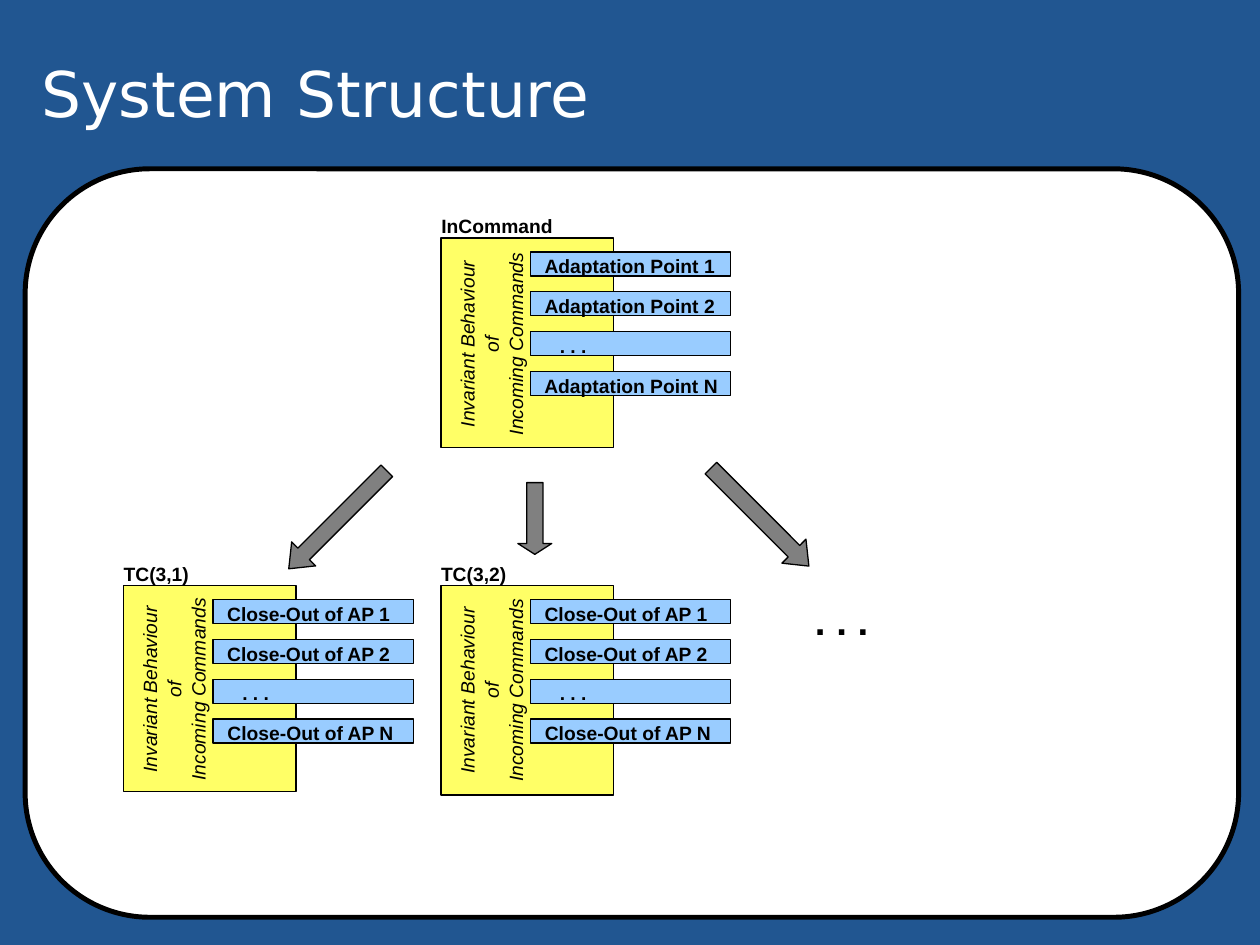
from dataclasses import dataclass

from pptx import Presentation
from pptx.dml.color import RGBColor
from pptx.enum.shapes import MSO_SHAPE
from pptx.enum.text import MSO_ANCHOR, PP_ALIGN
from pptx.util import Pt

COLOURS = {
    "background": "215691",
    "panel": "FFFFFF",
    "title": "FFFFFF",
    "block": "FFFF66",
    "bar": "99CCFF",
    "arrow": "808080",
    "ink": "000000",
}
BODY_FONT = "Arial"
TITLE_FONT = "DejaVu Sans"

# Offsets inside a block, in points
BAR_LEFT, BAR_TOP, BAR_PITCH = 51.1, 7.9, 22.75
BAR_WIDTH, BAR_HEIGHT = 114.5, 13.7
LABEL_LEFT, LABEL_TOP = 59, 8.6
SIDE_CENTRE_X, SIDE_WIDTH, SIDE_HEIGHT = 20.5, 107.3, 26


@dataclass(frozen=True)
class Box:
    left: float
    top: float
    width: float
    height: float

    def lengths(self) -> tuple:
        return Pt(self.left), Pt(self.top), Pt(self.width), Pt(self.height)


@dataclass(frozen=True)
class Label:
    text: str
    width: float


@dataclass(frozen=True)
class Block:
    heading: Label
    box: Box
    side_centre_y: float
    bars: tuple[Label, ...]


@dataclass(frozen=True)
class Arrow:
    box: Box
    rotation: float
    head_length: float


@dataclass(frozen=True)
class TextStyle:
    size: float = 11
    font: str = BODY_FONT
    colour: str = "ink"
    bold: bool = False
    italic: bool = False
    align: PP_ALIGN = PP_ALIGN.CENTER
    anchor: MSO_ANCHOR = MSO_ANCHOR.TOP
    line_spacing: float = 1.05
    wrap: bool = False


BOLD = TextStyle(bold=True)
ITALIC = TextStyle(italic=True)
LARGE = TextStyle(size=22, bold=True)
TITLE = TextStyle(size=36, font=TITLE_FONT, colour="title", align=PP_ALIGN.LEFT,
                  anchor=MSO_ANCHOR.MIDDLE, line_spacing=1, wrap=True)

ELLIPSIS = Label(". . .", 33.1)
ADAPTATION_POINTS = (
    Label("Adaptation Point 1", 97.9),
    Label("Adaptation Point 2", 97.9),
    ELLIPSIS,
    Label("Adaptation Point N", 99.4),
)
CLOSE_OUTS = (
    Label("Close-Out of AP 1", 93.6),
    Label("Close-Out of AP 2", 93.6),
    ELLIPSIS,
    Label("Close-Out of AP N", 95.8),
)
BLOCKS = (
    Block(Label("InCommand", 64.1), Box(252, 136.1, 98.6, 119.5), 60.5, ADAPTATION_POINTS),
    Block(Label("TC(3,2)", 37.4), Box(252, 334.8, 98.6, 119.5), 59.8, CLOSE_OUTS),
    Block(Label("TC(3,1)", 37.4), Box(70.6, 334.8, 98.6, 117.4), 59.1, CLOSE_OUTS),
)
ARROWS = (
    Arrow(Box(153.4, 287.3, 79.2, 19.4), 135, 0.62),
    Arrow(Box(285.1, 286.6, 41, 19.4), 90, 0.32),
    Arrow(Box(394.6, 285.8, 79.2, 19.4), 45, 0.62),
)


def colour(name: str) -> RGBColor:
    return RGBColor.from_string(COLOURS[name])


def add_filled(slide, kind: MSO_SHAPE, box: Box, fill: str, line_width: float = 0):
    shape = slide.shapes.add_shape(kind, *box.lengths())
    shape.shadow.inherit = False
    shape.fill.solid()
    shape.fill.fore_color.rgb = colour(fill)
    shape.line.color.rgb = colour("ink")
    shape.line.width = Pt(line_width)
    return shape


def add_text(slide, box: Box, lines: tuple[str, ...], style: TextStyle):
    shape = slide.shapes.add_textbox(*box.lengths())
    frame = shape.text_frame
    frame.margin_left = frame.margin_top = frame.margin_right = frame.margin_bottom = 0
    frame.word_wrap = style.wrap
    frame.vertical_anchor = style.anchor
    for index, line in enumerate(lines):
        paragraph = frame.add_paragraph() if index else frame.paragraphs[0]
        paragraph.alignment = style.align
        paragraph.line_spacing = style.line_spacing
        run = paragraph.add_run()
        run.text = line
        run.font.name = style.font
        run.font.size = Pt(style.size)
        run.font.bold = style.bold
        run.font.italic = style.italic
        run.font.color.rgb = colour(style.colour)
    return shape


def add_block(slide, block: Block) -> None:
    left, top = block.box.left, block.box.top
    add_filled(slide, MSO_SHAPE.RECTANGLE, block.box, "block")
    add_text(slide, Box(left, top - 14.4, block.heading.width, 13),
             (block.heading.text,), BOLD)

    # Vertical caption, turned about its centre
    caption = add_text(
        slide,
        Box(left + SIDE_CENTRE_X - SIDE_WIDTH / 2,
            top + block.side_centre_y - SIDE_HEIGHT / 2, SIDE_WIDTH, SIDE_HEIGHT),
        ("Invariant Behaviour of", "Incoming Commands"), ITALIC)
    caption.rotation = 270

    # Evenly spaced bars with their labels
    for index, label in enumerate(block.bars):
        offset = top + index * BAR_PITCH
        add_filled(slide, MSO_SHAPE.RECTANGLE,
                   Box(left + BAR_LEFT, offset + BAR_TOP, BAR_WIDTH, BAR_HEIGHT), "bar")
        add_text(slide, Box(left + LABEL_LEFT, offset + LABEL_TOP, label.width, 13),
                 (label.text,), BOLD)


def add_arrow(slide, arrow: Arrow) -> None:
    shape = add_filled(slide, MSO_SHAPE.RIGHT_ARROW, arrow.box, "arrow")
    shape.adjustments[0] = 0.48
    shape.adjustments[1] = arrow.head_length
    shape.rotation = arrow.rotation


def main() -> None:
    presentation = Presentation()
    presentation.slide_width, presentation.slide_height = Pt(720), Pt(540)
    slide = presentation.slides.add_slide(presentation.slide_layouts[6])

    # Background, panel and title
    slide.background.fill.solid()
    slide.background.fill.fore_color.rgb = colour("background")
    add_filled(slide, MSO_SHAPE.ROUNDED_RECTANGLE, Box(14.4, 96.5, 693.4, 427.7),
               "panel", 2.83)
    add_text(slide, Box(23.8, 7.9, 499.7, 90), ("System Structure",), TITLE)

    # Command blocks and the arrows between them
    for block in BLOCKS:
        add_block(slide, block)
    for arrow in ARROWS:
        add_arrow(slide, arrow)

    # Further commands
    add_text(slide, Box(464.4, 339.8, 33.1, 26), (ELLIPSIS.text,), LARGE)

    presentation.save("out.pptx")


if __name__ == "__main__":
    main()
